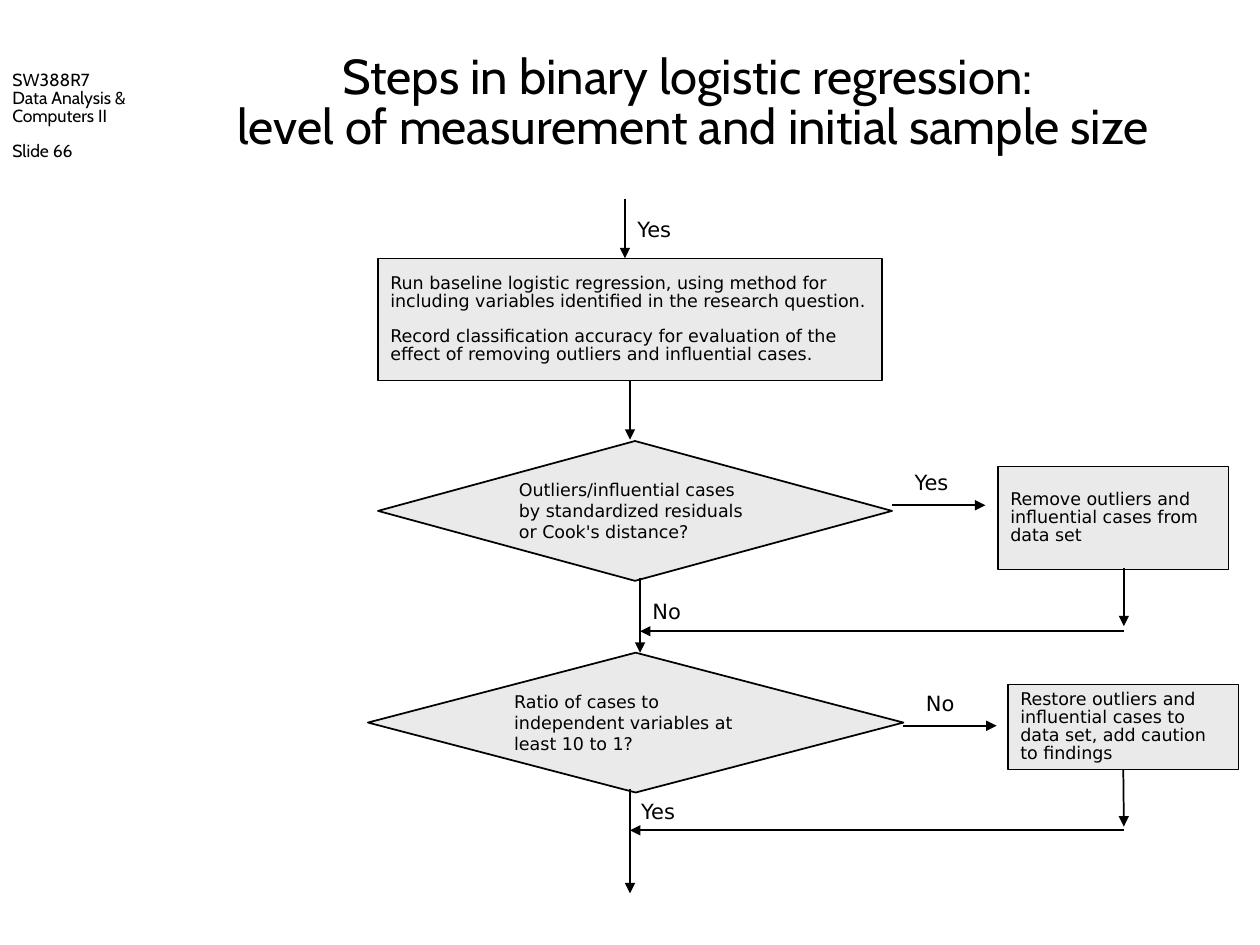
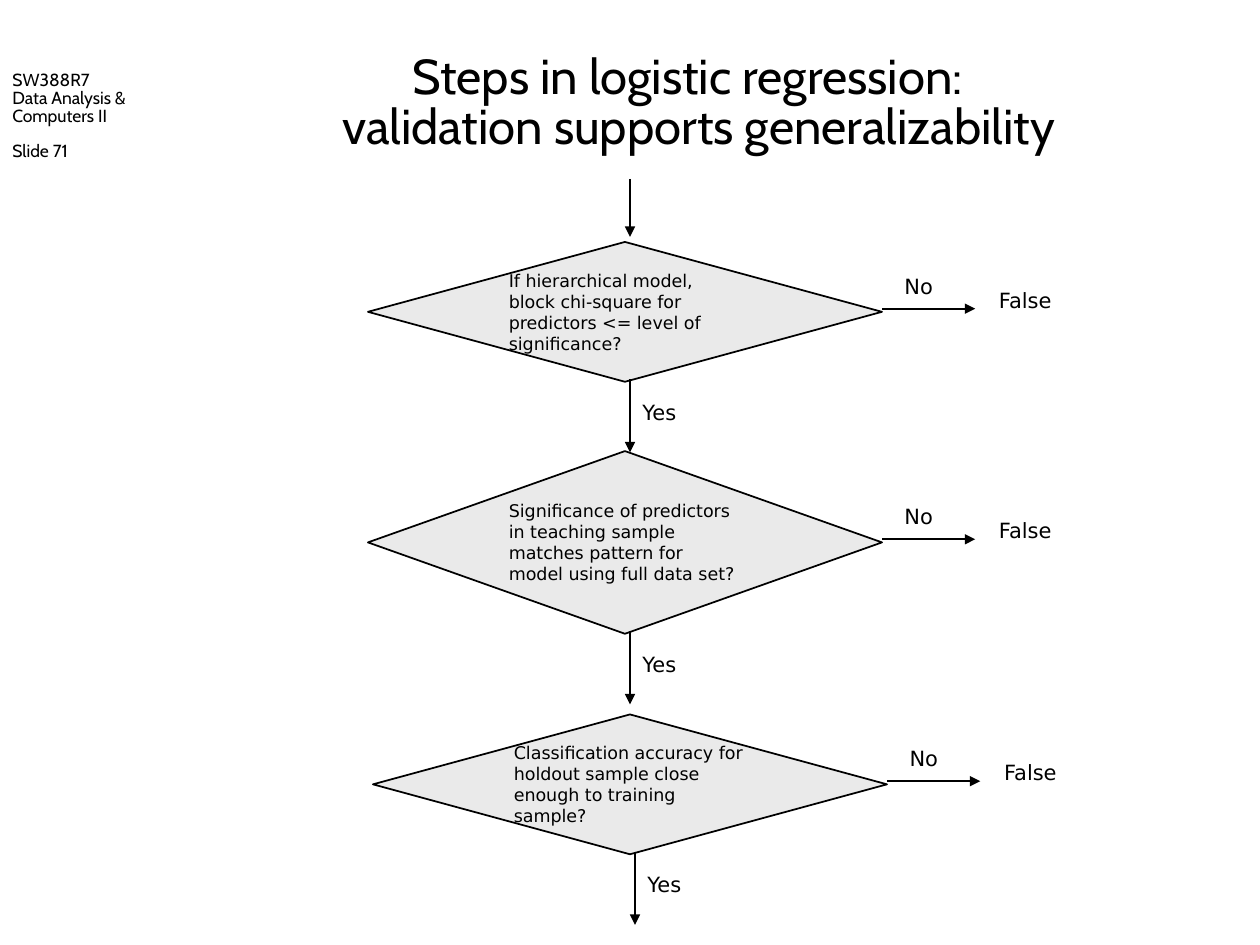
"""Build two flowchart slides on the steps of logistic regression."""
from dataclasses import dataclass

from lxml import etree
from pptx import Presentation
from pptx import util as u
from pptx.dml.color import RGBColor
from pptx.enum import shapes, text
from pptx.oxml import ns

PX = u.Inches(1) // 100
BLACK = RGBColor(0x00, 0x00, 0x00)
GREY = RGBColor(0xEA, 0xEA, 0xEA)
HEAD_FONT = "Cabin"
BODY_FONT = "DejaVu Sans"
TIGHT = 0.85
BRANCH = 74
DECISION = shapes.MSO_SHAPE.FLOWCHART_DECISION
PROCESS = shapes.MSO_SHAPE.RECTANGLE


@dataclass(frozen=True)
class Node:
    left: int
    top: int
    width: int
    height: int
    paragraphs: tuple[str, ...]
    kind: shapes.MSO_SHAPE = DECISION

    @property
    def right(self) -> int:
        return self.left + self.width

    @property
    def bottom(self) -> int:
        return self.top + self.height


@dataclass(frozen=True)
class Arrow:
    start_x: int
    start_y: int
    end_x: int
    end_y: int


@dataclass(frozen=True)
class Label:
    left: int
    top: int
    text: str
    width: int = 51


BASELINE = Node(300, 205, 400, 97, (
    "Run baseline logistic regression, using method for including variables identified in the research question.",
    "Record classification accuracy for evaluation of the effect of removing outliers and influential cases.",
), PROCESS)
OUTLIERS = Node(300, 350, 408, 111, (
    "Outliers/influential cases by standardized residuals or Cook's distance?",))
RATIO = Node(292, 518, 425, 111, (
    "Ratio of cases to independent variables at least 10 to 1?",))
REMOVE = Node(792, 370, 183, 82, (
    "Remove outliers and influential cases from data set",), PROCESS)
RESTORE = Node(800, 543, 183, 68, (
    "Restore outliers and influential cases to data set, add caution to findings",), PROCESS)

SAMPLE_ARROWS = (
    Arrow(496, 158, 496, 205),
    Arrow(508, 459, 508, 518),
    Arrow(892, 451, 892, 497),
    Arrow(892, 501, 508, 501),
    Arrow(500, 626, 500, 709),
    Arrow(892, 659, 500, 659),
)
SAMPLE_LABELS = (
    Label(496, 167, "Yes"),
    Label(508, 470, "No"),
    Label(499, 629, "Yes"),
)

VALIDATION_STEPS = (
    Node(292, 192, 408, 111, (
        "If hierarchical model, block chi-square for predictors <= level of significance?",)),
    Node(292, 358, 408, 145, (
        "Significance of predictors in teaching sample matches pattern for model using full data set?",)),
    Node(296, 567, 408, 111, (
        "Classification accuracy for holdout sample close enough to training sample?",)),
)


def px(*lengths: int) -> list[int]:
    return [length * PX for length in lengths]


def write_text(frame, *paragraphs: str, font: str = BODY_FONT, size: int = 10,
               align=text.PP_ALIGN.LEFT, anchor=text.MSO_ANCHOR.MIDDLE,
               spacing: float = 1.0, last_gap: int = 0) -> None:
    frame.word_wrap = True
    frame.auto_size = text.MSO_AUTO_SIZE.NONE
    frame.vertical_anchor = anchor
    for index, content in enumerate(paragraphs):
        para = frame.add_paragraph() if index else frame.paragraphs[0]
        para.text = content
        para.alignment = align
        para.line_spacing = spacing
        para.space_before = u.Pt(last_gap if 0 < index == len(paragraphs) - 1 else 0)
        for span in para.runs:
            span.font.name = font
            span.font.size = u.Pt(size)
            span.font.color.rgb = BLACK
        for line_break in para._p.findall(ns.qn("a:br")):
            etree.SubElement(line_break, ns.qn("a:rPr"), sz=str(size * 100))


def add_page(deck, title: str, number: int):
    page = deck.slides.add_slide(deck.slide_layouts[5])
    course = page.shapes.add_textbox(*px(0, 33, 125, 100))
    write_text(course.text_frame, "SW388R7", "Data Analysis & Computers II", f"Slide {number}",
               font=HEAD_FONT, anchor=text.MSO_ANCHOR.BOTTOM, spacing=TIGHT, last_gap=10)
    heading = page.shapes.title
    heading.left, heading.top, heading.width, heading.height = px(125, 33, 850, 100)
    write_text(heading.text_frame, title, font=HEAD_FONT, size=28,
               align=text.PP_ALIGN.CENTER, spacing=TIGHT)
    return page


def add_node(page, node: Node):
    box = page.shapes.add_shape(node.kind, *px(node.left, node.top, node.width, node.height))
    box.shadow.inherit = False
    box.fill.solid()
    box.fill.fore_color.rgb = GREY
    box.line.color.rgb = BLACK
    is_process = node.kind == PROCESS
    box.line.width = u.Pt(0.75 if is_process else 1)
    write_text(box.text_frame, *node.paragraphs, spacing=TIGHT if is_process else 1.0, last_gap=10)
    return box


def add_arrow(page, arrow: Arrow):
    line = page.shapes.add_connector(
        shapes.MSO_CONNECTOR.STRAIGHT,
        *px(arrow.start_x, arrow.start_y, arrow.end_x, arrow.end_y))
    line.line.color.rgb = BLACK
    line.line.width = u.Pt(1)
    etree.SubElement(line.line._get_or_add_ln(), ns.qn("a:tailEnd"), type="triangle")
    etree.SubElement(line._element.spPr, ns.qn("a:effectLst"))
    return line


def add_label(page, label: Label) -> None:
    box = page.shapes.add_textbox(*px(label.left, label.top, label.width, 30))
    write_text(box.text_frame, label.text, size=12, anchor=text.MSO_ANCHOR.TOP)


def add_branch(page, x: int, y: int, answer: str) -> None:
    add_arrow(page, Arrow(x, y, x + BRANCH, y))
    add_label(page, Label(x + 8, y - 33, answer))


def build_sample_page(deck) -> None:
    page = add_page(
        deck, "Steps in binary logistic regression: \vlevel of measurement and initial sample size", 66)
    baseline, _, _, _, restore = [
        add_node(page, node) for node in (BASELINE, OUTLIERS, RATIO, REMOVE, RESTORE)]
    for arrow in SAMPLE_ARROWS:
        add_arrow(page, arrow)
    add_arrow(page, Arrow(500, BASELINE.bottom, 500, 349)).begin_connect(baseline, 2)
    add_arrow(page, Arrow(892, RESTORE.bottom, 892, 656)).begin_connect(restore, 2)
    for label in SAMPLE_LABELS:
        add_label(page, label)
    add_branch(page, OUTLIERS.right, 401, "Yes")
    add_branch(page, RATIO.right, 576, "No")


def build_validation_page(deck) -> None:
    page = add_page(
        deck, "Steps in logistic regression: \v validation supports generalizability", 71)
    add_arrow(page, Arrow(500, 142, 500, 188))
    for step in VALIDATION_STEPS:
        add_node(page, step)
        middle = step.top + step.height // 2 - 2
        add_branch(page, step.right, middle, "No")
        add_label(page, Label(step.right + 83, middle - 22, "False", 79))
        down_x, down_y = step.left + 208, step.bottom - 2
        add_arrow(page, Arrow(down_x, down_y, down_x, down_y + 58))
        add_label(page, Label(down_x, down_y + 11, "Yes"))


def main() -> None:
    deck = Presentation()
    deck.slide_width, deck.slide_height = px(1000, 750)
    build_sample_page(deck)
    build_validation_page(deck)
    deck.save("out.pptx")


if __name__ == "__main__":
    main()
